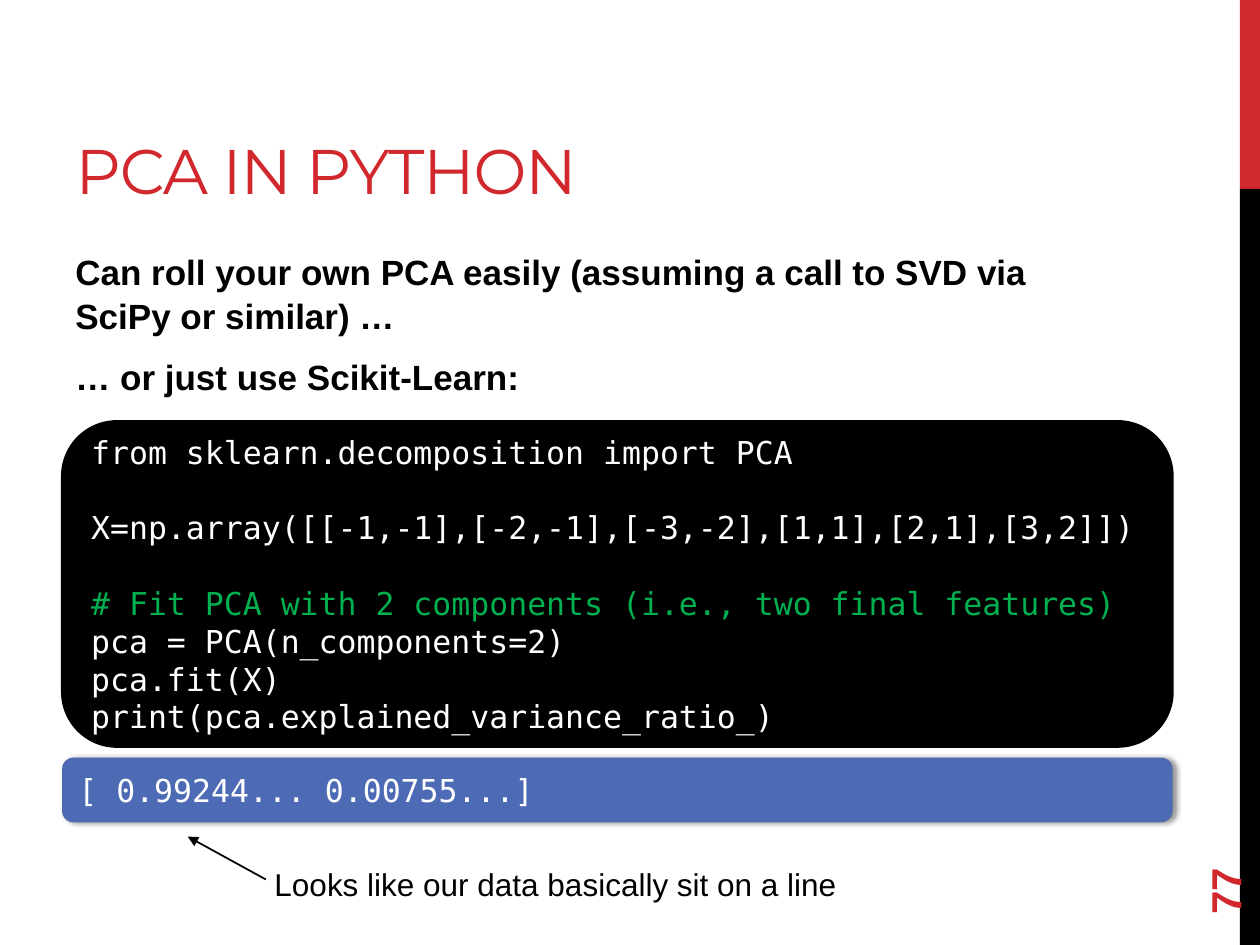
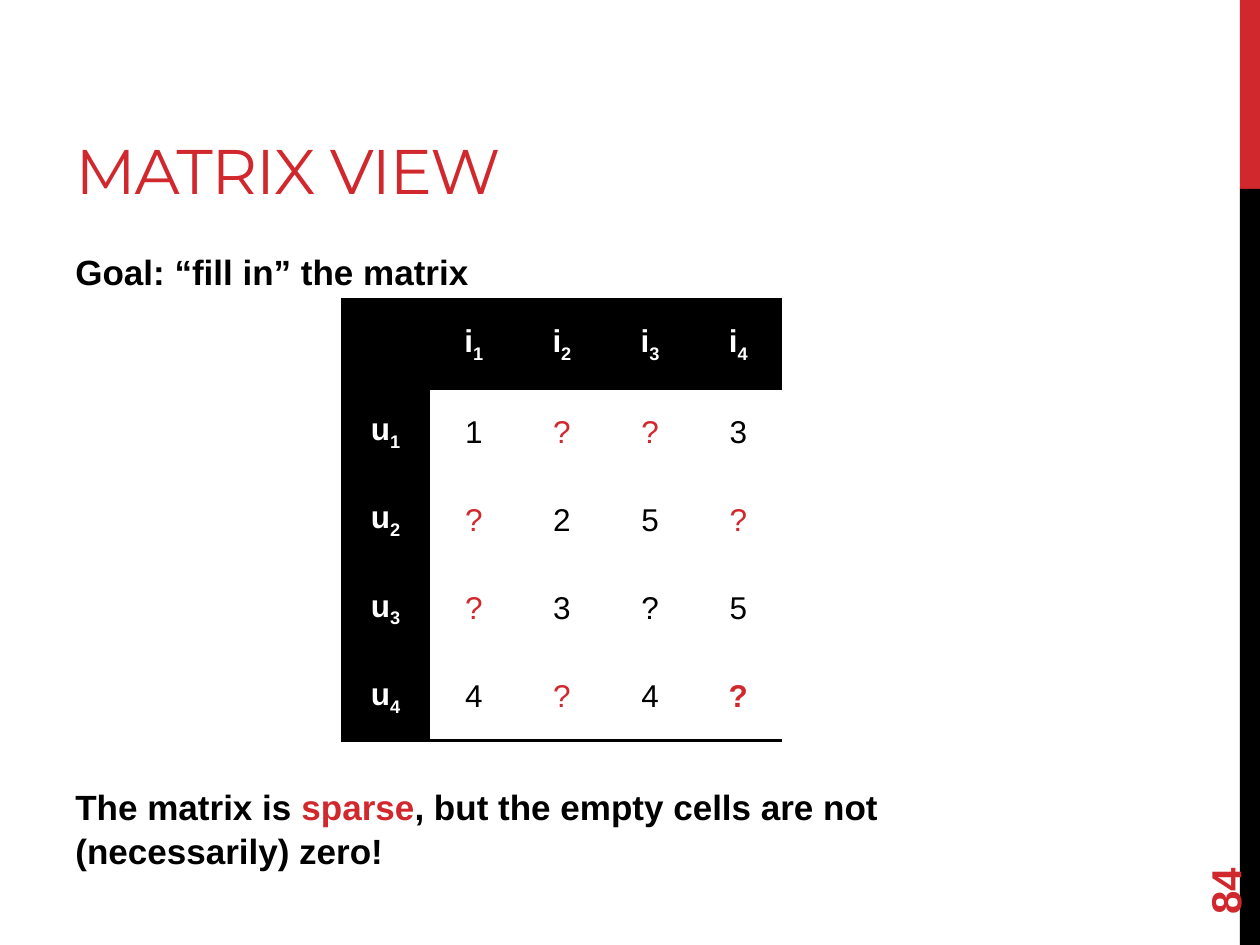
"""Build two lecture slides: PCA in Python and the matrix view."""
from lxml.etree import SubElement
from pptx import Presentation
from pptx.dml.color import RGBColor
from pptx.enum.shapes import MSO_CONNECTOR, MSO_SHAPE
from pptx.enum.text import MSO_ANCHOR, MSO_AUTO_SIZE, PP_ALIGN
from pptx.oxml.ns import qn
from pptx.util import Inches, Pt

RED = RGBColor(0xD1, 0x28, 0x2E)
BLACK = RGBColor(0x00, 0x00, 0x00)
WHITE = RGBColor(0xFF, 0xFF, 0xFF)
GREEN = RGBColor(0x00, 0xB0, 0x50)
BLUE = RGBColor(0x4D, 0x6B, 0xB5)
BLUE_EDGE = RGBColor(0x4E, 0x6A, 0xAE)
BODY_FONT, TITLE_FONT, CODE_FONT = "Arial", "Montserrat", "DejaVu Sans Mono"
PLAIN_TABLE_STYLE = "{2D5ABB26-0587-4C30-8999-92F81FD0307C}"
LEFT = 0.5

CODE_LINES = [
    "from sklearn.decomposition import PCA",
    "",
    "X=np.array([[-1,-1],[-2,-1],[-3,-2],[1,1],[2,1],[3,2]])",
    "",
    "# Fit PCA with 2 components (i.e., two final features)",
    "pca = PCA(n_components=2)",
    "pca.fit(X)",
    "print(pca.explained_variance_ratio_)",
]
RATINGS = ["1??3", "?25?", "?3?5", "4?4?"]
KNOWN_LOOKING_CELL = (3, 3)
TARGET_CELL = (4, 4)


def style(font, size, color, name=BODY_FONT, bold=False):
    """Set the face, size, colour and weight of a font."""
    font.name, font.size, font.bold = name, Pt(size), bold
    font.color.rgb = color


def add_panel(page, kind, place, fill, edge=None, edge_width=0):
    """Add a filled preset shape without a shadow."""
    panel = page.shapes.add_shape(kind, *map(Inches, place))
    panel.shadow.inherit = False
    panel.fill.solid()
    panel.fill.fore_color.rgb = fill
    if edge is None:
        panel.line.fill.background()
    else:
        panel.line.color.rgb = edge
        panel.line.width = Pt(edge_width)
    return panel


def add_text_box(page, place):
    """Add a wrapping text box and return it."""
    box = page.shapes.add_textbox(*map(Inches, place))
    box.text_frame.word_wrap = True
    return box


def add_body(page, top, height, paragraphs):
    """Add bold body paragraphs, each a list of (text, colour) spans."""
    frame = add_text_box(page, (LEFT, top, 8.33, height)).text_frame
    for index, spans in enumerate(paragraphs):
        para = frame.add_paragraph() if index else frame.paragraphs[0]
        para.line_spacing = 1.05
        para.space_before = Pt(4 if index else 0)
        para.space_after = Pt(6)
        style(para.font, 20, BLACK, bold=True)
        for text, color in spans:
            span = para.add_run()
            span.text = text
            if color != BLACK:
                span.font.color.rgb = color


def add_page(deck, title, number):
    """Add a slide with the side bands, title and page number."""
    page = deck.slides.add_slide(deck.slide_layouts[5])
    add_panel(page, MSO_SHAPE.RECTANGLE, (9.84, 0, 0.16, 1.5), RED)
    add_panel(page, MSO_SHAPE.RECTANGLE, (9.84, 1.5, 0.16, 6), BLACK)

    heading = page.shapes.title
    heading.left, heading.top = Inches(LEFT), Inches(0.17)
    heading.width, heading.height = Inches(6.33), Inches(1.5)
    frame = heading.text_frame
    frame.text = title
    frame.auto_size = MSO_AUTO_SIZE.NONE
    frame.vertical_anchor = MSO_ANCHOR.BOTTOM
    frame.margin_bottom = Inches(0.03)
    para = frame.paragraphs[0]
    para.alignment = PP_ALIGN.LEFT
    style(para.font, 36, RED, TITLE_FONT)
    para.runs[0]._r.get_or_add_rPr().set("spc", "-60")

    box = add_text_box(page, (9, 6.44, 1.44, 0.4))
    box.rotation = 270
    box.text_frame.vertical_anchor = MSO_ANCHOR.MIDDLE
    box.text_frame.text = str(number)
    style(box.text_frame.paragraphs[0].font, 24, RED, bold=True)
    return page


def add_code(panel, lines):
    """Write code lines into a panel, with comments in green."""
    frame = panel.text_frame
    frame.word_wrap = True
    frame.vertical_anchor = MSO_ANCHOR.MIDDLE
    frame.text = "\n".join(lines)
    for para in frame.paragraphs:
        para.alignment = PP_ALIGN.LEFT
        color = GREEN if para.text.startswith("#") else WHITE
        style(para.font, 18, color, CODE_FONT)


def add_soft_shadow(panel):
    """Give a panel a soft shadow to its right."""
    effects = panel._element.spPr.find(qn("a:effectLst"))
    shadow = SubElement(effects, qn("a:outerShdw"), blurRad=str(Pt(3.1)),
                        dist=str(Pt(1.8)), dir="0", rotWithShape="0")
    color = SubElement(shadow, qn("a:srgbClr"), val=str(BLACK))
    SubElement(color, qn("a:alpha"), val="40000")


def add_arrow(page, start, end):
    """Add a thin black arrow from start to end."""
    arrow = page.shapes.add_connector(
        MSO_CONNECTOR.STRAIGHT, *map(Inches, start + end))
    arrow.line.color.rgb = BLACK
    arrow.line.width = Pt(1)
    properties = arrow._element.spPr
    SubElement(properties.find(qn("a:ln")), qn("a:tailEnd"), type="triangle")
    SubElement(properties, qn("a:effectLst"))


def add_border(cell, side):
    """Draw a black 2 pt border on one side of a cell."""
    edge = SubElement(cell._tc.get_or_add_tcPr(), qn(f"a:{side}"), w=str(Pt(2)))
    fill = SubElement(edge, qn("a:solidFill"))
    SubElement(fill, qn("a:srgbClr"), val=str(BLACK))


def fill_cell(cell, text, subscript, fill, color, bold):
    """Fill a cell with centred text and an optional subscript."""
    cell.fill.solid()
    cell.fill.fore_color.rgb = fill
    cell.vertical_anchor = MSO_ANCHOR.MIDDLE
    para = cell.text_frame.paragraphs[0]
    para.alignment = PP_ALIGN.CENTER
    style(para.font, 18, color, bold=bold)
    if text:
        para.add_run().text = text
    if subscript:
        span = para.add_run()
        span.text = subscript
        span._r.get_or_add_rPr().set("baseline", "-25000")


def add_rating_matrix(page, ratings):
    """Add the user by item table with its headers."""
    size = len(ratings) + 1
    side = Inches(0.7)
    table = page.shapes.add_table(size, size, Inches(2.71), Inches(2.38),
                                  side * size, side * size).table
    table._tbl.tblPr.find(qn("a:tableStyleId")).text = PLAIN_TABLE_STYLE
    for row in range(size):
        table.rows[row].height = table.columns[row].width = side
        for column in range(size):
            cell = table.cell(row, column)
            if row == 0:
                add_border(cell, "lnT")
            if row in (0, size - 1):
                add_border(cell, "lnB")
            if row and column:
                text = ratings[row - 1][column - 1]
                place = (row, column)
                missing = text == "?" and place != KNOWN_LOOKING_CELL
                fill_cell(cell, text, "", WHITE, RED if missing else BLACK,
                          place == TARGET_CELL)
            else:
                letter = "u" if row else "i" if column else ""
                fill_cell(cell, letter, str(row or column or ""),
                          BLACK, WHITE, True)


def add_pca_page(deck):
    """Add the slide with the PCA code and its output."""
    page = add_page(deck, "PCA IN PYTHON", 77)
    add_body(page, 1.92, 1.4, [
        [("Can roll your own PCA easily (assuming a call to SVD via "
          "SciPy or similar) …", BLACK)],
        [("… or just use Scikit-Learn:", BLACK)],
    ])
    code = add_panel(page, MSO_SHAPE.ROUNDED_RECTANGLE,
                     (LEFT, 3.35, 8.8, 2.57), BLACK, BLACK, 2.25)
    add_code(code, CODE_LINES)
    output = add_panel(page, MSO_SHAPE.ROUNDED_RECTANGLE,
                       (LEFT, 6.02, 8.8, 0.5), BLUE, BLUE_EDGE, 1)
    add_code(output, ["[ 0.99244... 0.00755...]"])
    add_soft_shadow(output)
    add_arrow(page, (2.11, 6.98), (1.49, 6.64))
    remark = add_text_box(page, (2.08, 6.82, 5.22, 0.4)).text_frame
    remark.text = "Looks like our data basically sit on a line"
    style(remark.paragraphs[0].font, 18, BLACK)


def add_matrix_page(deck):
    """Add the slide with the sparse rating matrix."""
    page = add_page(deck, "MATRIX VIEW", 84)
    add_body(page, 1.92, 0.45, [[("Goal: “fill in” the matrix", BLACK)]])
    add_rating_matrix(page, RATINGS)
    add_body(page, 6.17, 0.8, [[
        ("The matrix is ", BLACK),
        ("sparse", RED),
        (", but the empty cells are not (necessarily) zero!", BLACK),
    ]])


def main():
    """Build and save the deck."""
    deck = Presentation()
    deck.slide_width, deck.slide_height = Inches(10), Inches(7.5)
    add_pca_page(deck)
    add_matrix_page(deck)
    deck.save("out.pptx")


if __name__ == "__main__":
    main()
